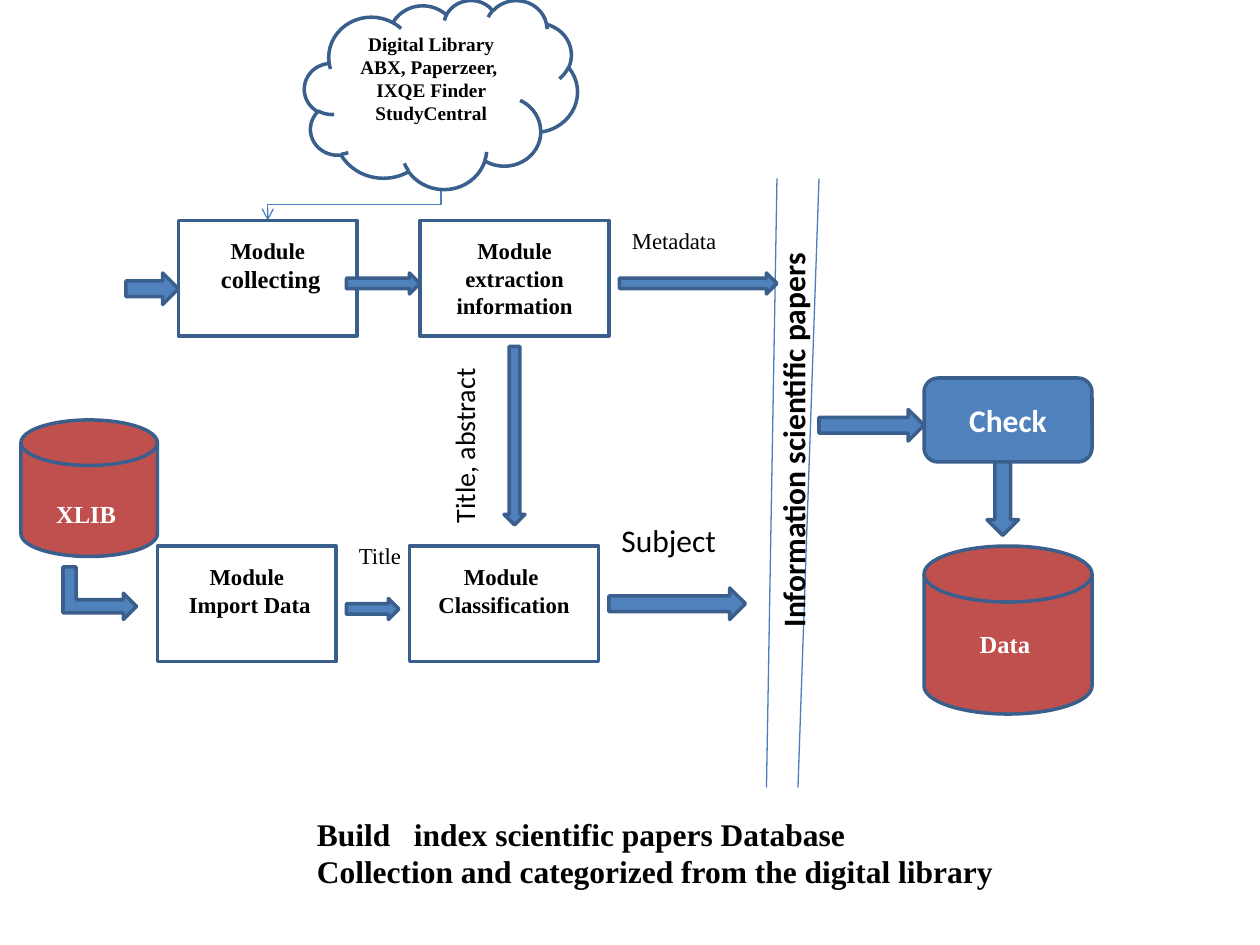
"""Build the flow diagram of a scientific paper index."""
from dataclasses import dataclass

from lxml import etree
from pptx import Presentation
from pptx.dml.color import RGBColor
from pptx.enum.shapes import MSO_CONNECTOR, MSO_SHAPE
from pptx.enum.text import MSO_ANCHOR, PP_ALIGN
from pptx.oxml.ns import qn
from pptx.util import Emu, Inches, Pt

ARROW, BENT_ARROW = MSO_SHAPE.RIGHT_ARROW, MSO_SHAPE.BENT_UP_ARROW
BOX, ROUND_BOX = MSO_SHAPE.RECTANGLE, MSO_SHAPE.FLOWCHART_ALTERNATE_PROCESS
DISK, CLOUD = MSO_SHAPE.FLOWCHART_MAGNETIC_DISK, MSO_SHAPE.CLOUD
STRAIGHT, ELBOW = MSO_CONNECTOR.STRAIGHT, MSO_CONNECTOR.ELBOW
LEFT, CENTER = PP_ALIGN.LEFT, PP_ALIGN.CENTER
TOP, MIDDLE = MSO_ANCHOR.TOP, MSO_ANCHOR.MIDDLE
COLUMNS, ROWS = 120, 90


@dataclass(frozen=True)
class Theme:
    blue: RGBColor = RGBColor(0x4F, 0x81, 0xBD)
    red: RGBColor = RGBColor(0xC0, 0x50, 0x4D)
    outline: RGBColor = RGBColor(0x3A, 0x5F, 0x8C)
    thin_line: RGBColor = RGBColor(0x4B, 0x7E, 0xBC)
    black: RGBColor = RGBColor(0, 0, 0)
    white: RGBColor = RGBColor(255, 255, 255)
    serif: str = "Times New Roman"
    sans: str = "Calibri"
    tiny: int = 11
    small: int = 13
    medium: int = 14
    large: int = 16
    title: int = 18


THEME = Theme()


@dataclass(frozen=True)
class Place:
    column: float
    row: float
    columns: float
    rows: float
    rotation: int = 0


@dataclass(frozen=True)
class Words:
    lines: tuple[str, ...]
    size: int = THEME.small
    font: str = THEME.serif
    color: RGBColor = THEME.black
    bold: bool = True
    last_size: int = 0
    space_above: float = 0
    space_below: float = 0


@dataclass(frozen=True)
class Node:
    kind: int
    place: Place
    words: Words
    fill: RGBColor | None = None


@dataclass(frozen=True)
class Arrow:
    place: Place
    kind: int = ARROW


@dataclass(frozen=True)
class Label:
    place: Place
    words: Words
    wrap: bool = True


@dataclass(frozen=True)
class Rule:
    kind: int
    start: tuple[float, float]
    end: tuple[float, float]
    rotation: int = 0
    head: str = ""


NODES = (
    Node(DISK, Place(88, 52, 16, 16),
         Words(("Data ",), THEME.medium, color=THEME.white), THEME.red),
    Node(CLOUD, Place(29, 0, 26, 18),
         Words(("Digital Library", "ABX, Paperzeer, ", "IXQE Finder", "StudyCentral"),
               THEME.tiny, space_below=0.19)),
    Node(ROUND_BOX, Place(88, 36, 16, 8),
         Words(("Check",), THEME.title, THEME.sans, THEME.white), THEME.blue),
    Node(BOX, Place(40, 21, 18, 11), Words(("Module extraction information",))),
    Node(DISK, Place(2, 40, 13, 13),
         Words(("XLIB ",), THEME.medium, color=THEME.white, space_above=0.22), THEME.red),
    Node(BOX, Place(17, 21, 17, 11),
         Words(("Module", " collecting"), last_size=THEME.medium, space_below=0.21)),
    Node(BOX, Place(39, 52, 18, 11),
         Words(("Module ", "Classification"), space_below=0.21)),
    Node(BOX, Place(15, 52, 17, 11),
         Words(("Module", " Import Data"), space_below=0.21)),
)
ARROWS = (
    Arrow(Place(12, 26, 5, 3)),
    Arrow(Place(59, 26, 15, 2)),
    Arrow(Place(78, 39, 10, 3)),
    Arrow(Place(92, 46, 7, 3, 90)),
    Arrow(Place(33, 26, 7, 2)),
    Arrow(Place(40.5, 40.5, 17, 2, 90)),
    Arrow(Place(58, 56, 13, 3)),
    Arrow(Place(33, 57, 5, 2)),
    Arrow(Place(7, 53, 5, 7, 90), BENT_ARROW),
)
LABELS = (
    Label(Place(29, 77, 67.5, 8.5),
          Words(("Build \u00a0 index scientific papers Database",
                 "Collection and categorized from the digital library"), THEME.title), False),
    Label(Place(55.5, 38.5, 40, 4.8, 270),
          Words(("Information scientific papers",), THEME.title, THEME.sans)),
    Label(Place(59, 21, 21, 3.8), Words(("Metadata",), bold=False)),
    Label(Place(58, 49, 15, 4.8),
          Words(("Subject",), THEME.title, THEME.sans, bold=False)),
    Label(Place(34.2, 38.8, 20, 4.4, 270),
          Words(("Title, abstract",), THEME.large, THEME.sans, bold=False)),
    Label(Place(33, 51, 15, 3.8), Words(("Title",), bold=False)),
)
RULES = (
    Rule(ELBOW, (32.25, 11.25), (35.25, 27.75), 90, "arrow"),
    Rule(STRAIGHT, (74, 17), (73, 75)),
    Rule(STRAIGHT, (78, 17), (76, 75)),
)

presentation = Presentation()
presentation.slide_width, presentation.slide_height = Inches(10), Inches(7.5)
slide = presentation.slides.add_slide(presentation.slide_layouts[6])


def across(columns: float) -> Emu:
    return Emu(round(presentation.slide_width * columns / COLUMNS))


def down(rows: float) -> Emu:
    return Emu(round(presentation.slide_height * rows / ROWS))


def bounds(place: Place) -> tuple[Emu, Emu, Emu, Emu]:
    return across(place.column), down(place.row), across(place.columns), down(place.rows)


def write(shape, words: Words, alignment, anchor, wrap: bool = True) -> None:
    frame = shape.text_frame
    frame_format = {"word_wrap": wrap, "vertical_anchor": anchor,
                    "margin_top": Inches(0.05 + words.space_above),
                    "margin_bottom": Inches(0.05 + words.space_below)}
    for name, value in frame_format.items():
        setattr(frame, name, value)
    frame.text = "\n".join(words.lines)
    font_format = {"name": words.font, "size": Pt(words.size), "bold": words.bold}
    for paragraph in frame.paragraphs:
        paragraph.alignment = alignment
        for run in paragraph.runs:
            for name, value in font_format.items():
                setattr(run.font, name, value)
            run.font.color.rgb = words.color
    if words.last_size:
        frame.paragraphs[-1].runs[0].font.size = Pt(words.last_size)


def draw_shape(kind: int, place: Place, fill: RGBColor | None):
    shape = slide.shapes.add_shape(kind, *bounds(place))
    shape.rotation = place.rotation
    shape.shadow.inherit = False
    if fill is None:
        shape.fill.background()
    else:
        shape.fill.solid()
        shape.fill.fore_color.rgb = fill
    shape.line.color.rgb, shape.line.width = THEME.outline, Pt(2)
    return shape


def draw_label(label: Label) -> None:
    shape = slide.shapes.add_textbox(*bounds(label.place))
    shape.rotation = label.place.rotation
    write(shape, label.words, LEFT, TOP, label.wrap)


def draw_rule(rule: Rule) -> None:
    (left, top), (right, bottom) = rule.start, rule.end
    connector = slide.shapes.add_connector(
        rule.kind, across(left), down(top), across(right), down(bottom))
    connector.line.color.rgb, connector.line.width = THEME.thin_line, Pt(0.75)
    properties = connector._element.spPr
    etree.SubElement(properties, qn("a:effectLst"))
    if rule.rotation:
        properties.find(qn("a:xfrm")).set("rot", str(rule.rotation * 60000))
    if rule.head:
        etree.SubElement(properties.find(qn("a:ln")), qn("a:tailEnd")).set("type", rule.head)


for rule in RULES:
    draw_rule(rule)
for node in NODES:
    write(draw_shape(node.kind, node.place, node.fill), node.words, CENTER, MIDDLE)
for arrow in ARROWS:
    draw_shape(arrow.kind, arrow.place, THEME.blue)
for label in LABELS:
    draw_label(label)
presentation.save("out.pptx")
